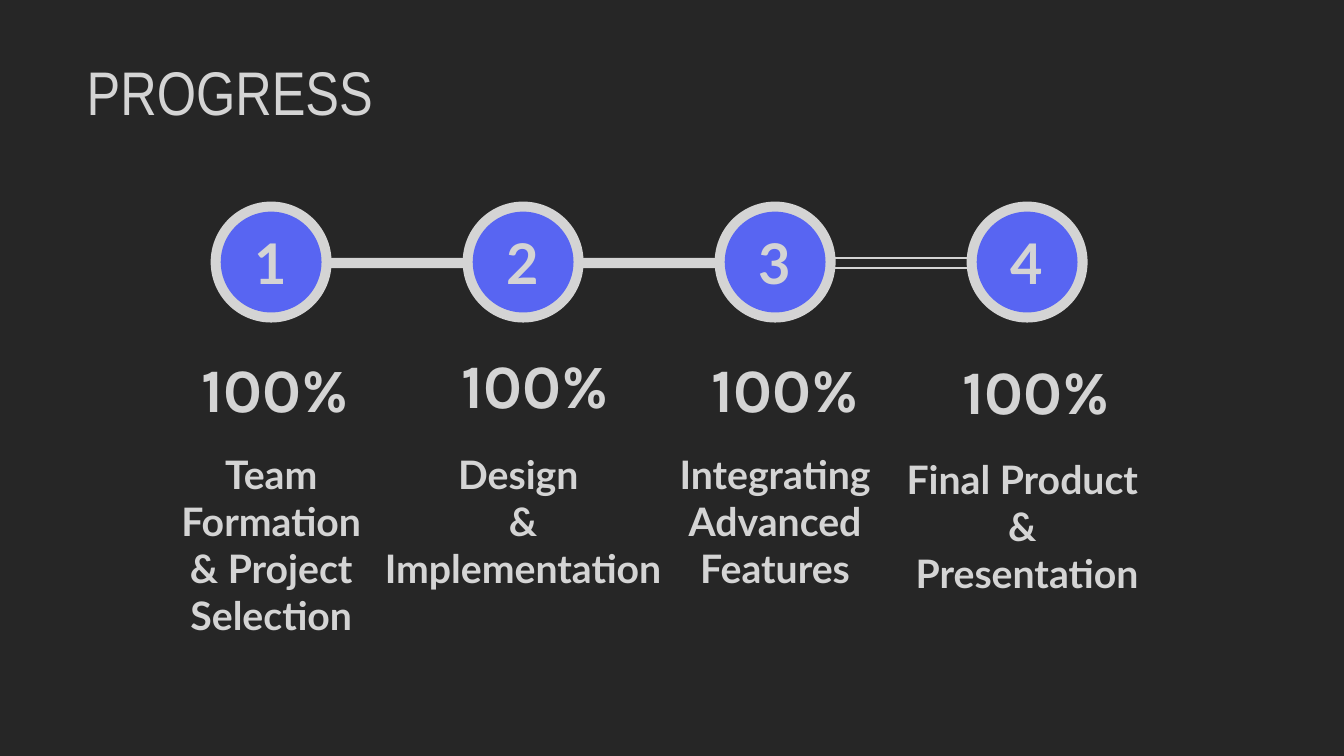
from pptx import Presentation
from pptx.dml.color import RGBColor
from pptx.enum.shapes import MSO_SHAPE
from pptx.enum.text import MSO_ANCHOR, MSO_AUTO_SIZE, PP_ALIGN
from pptx.util import Pt

COLORS = {"backdrop": "404040", "panel": "262626", "light": "D4D4D4", "accent": "5865F2"}

TITLE_FORMAT = {"name": "Arial Narrow", "size": Pt(44), "bold": False}
NUMBER_FORMAT = {"name": "Lato", "size": Pt(40), "bold": True}
PERCENT_FORMAT = {"name": "Karla", "size": Pt(44), "bold": True}
LABEL_FORMAT = {"name": "Lato", "size": Pt(28), "bold": True}

FIRST_LEFT, STEP_GAP, RING_TOP = 150.5, 180, 144
RING_SIZE, RING_WIDTH = 86.4, 7.2
BAR_OVERLAP, BAR_HEIGHT = 2.2, 7.2

STEPS = [
    {"percent": (136.8, 247, 157.7, 60.5), "label": (118.8, 318.2, 149.8, 143.3),
     "lines": ["Team Formation & Project Selection"]},
    {"percent": (322.6, 244, 136, 60.5), "label": (264.2, 318.2, 218.9, 108.7),
     "lines": ["Design ", "& Implementation"]},
    {"percent": (501.1, 247, 128.9, 60.5), "label": (444.2, 318.2, 218.9, 108.7),
     "lines": ["Integrating Advanced Features"]},
    {"percent": (680.4, 248.4, 138.2, 60.5), "label": (624.2, 321.8, 218.9, 108.7),
     "lines": ["Final Product ", "& ", "Presentation"]},
]


def color(name):
    return RGBColor.from_string(COLORS[name])


def write_lines(text_frame, lines, font_format, alignment):
    text_frame.text = "\n".join(lines)
    for paragraph in text_frame.paragraphs:
        paragraph.alignment = alignment
        for run in paragraph.runs:
            run.font.color.rgb = color("light")
            for attribute, value in font_format.items():
                setattr(run.font, attribute, value)


def add_filled_shape(shapes, kind, box, fill):
    shape = shapes.add_shape(kind, *map(Pt, box))
    shape.shadow.inherit = False
    shape.line.fill.background()
    shape.fill.solid()
    shape.fill.fore_color.rgb = color(fill)
    return shape


def add_text(slide, box, lines, font_format, alignment):
    text_frame = slide.shapes.add_textbox(*map(Pt, box)).text_frame
    text_frame.word_wrap = True
    text_frame.auto_size = MSO_AUTO_SIZE.SHAPE_TO_FIT_TEXT
    write_lines(text_frame, lines, font_format, alignment)


def add_title(slide, text):
    title, subtitle = slide.placeholders
    subtitle.element.getparent().remove(subtitle.element)
    title.element.getparent().append(title.element)
    position = {"left": Pt(54.7), "top": Pt(35.3), "width": Pt(833.8), "height": Pt(60.5)}
    for attribute, value in position.items():
        setattr(title, attribute, value)
    text_frame = title.text_frame
    write_lines(text_frame, [text], TITLE_FORMAT, PP_ALIGN.LEFT)
    text_frame.vertical_anchor = MSO_ANCHOR.BOTTOM
    text_frame.auto_size = MSO_AUTO_SIZE.NONE
    text_frame.paragraphs[0].line_spacing = 0.9


def add_numbered_circle(slide, left, number):
    group = slide.shapes.add_group_shape()
    ring_box = (left, RING_TOP, RING_SIZE, RING_SIZE)
    add_filled_shape(group.shapes, MSO_SHAPE.OVAL, ring_box, "light")
    disc_size = RING_SIZE - 2 * RING_WIDTH
    disc_box = (left + RING_WIDTH, RING_TOP + RING_WIDTH, disc_size, disc_size)
    disc = add_filled_shape(group.shapes, MSO_SHAPE.OVAL, disc_box, "accent")
    disc.text_frame.vertical_anchor = MSO_ANCHOR.MIDDLE
    write_lines(disc.text_frame, [str(number)], NUMBER_FORMAT, PP_ALIGN.CENTER)


def add_bar(slide, ring_left, outlined):
    box = (ring_left + RING_SIZE - BAR_OVERLAP, RING_TOP + 40.3,
           STEP_GAP - RING_SIZE + 2 * BAR_OVERLAP, BAR_HEIGHT)
    bar = add_filled_shape(slide.shapes, MSO_SHAPE.RECTANGLE, box, "light")
    if outlined:
        bar.fill.background()
        bar.line.color.rgb = color("light")
        bar.line.width = Pt(1.5)


def main():
    presentation = Presentation()
    presentation.slide_width = Pt(960)
    presentation.slide_height = Pt(540)
    slide = presentation.slides.add_slide(presentation.slide_layouts[0])
    slide.background.fill.solid()
    slide.background.fill.fore_color.rgb = color("backdrop")
    add_filled_shape(slide.shapes, MSO_SHAPE.RECTANGLE, (0, 0, 960, 540), "panel")
    add_title(slide, "PROGRESS")

    ring_lefts = [FIRST_LEFT + STEP_GAP * index for index in range(len(STEPS))]
    for number, left in enumerate(ring_lefts, start=1):
        add_numbered_circle(slide, left, number)
    for left in ring_lefts[:-1]:
        add_bar(slide, left, outlined=left == ring_lefts[-2])
    for step in STEPS:
        add_text(slide, step["percent"], ["100%"], PERCENT_FORMAT, PP_ALIGN.LEFT)
    for step in STEPS:
        add_text(slide, step["label"], step["lines"], LABEL_FORMAT, PP_ALIGN.CENTER)

    presentation.save("out.pptx")


if __name__ == "__main__":
    main()
